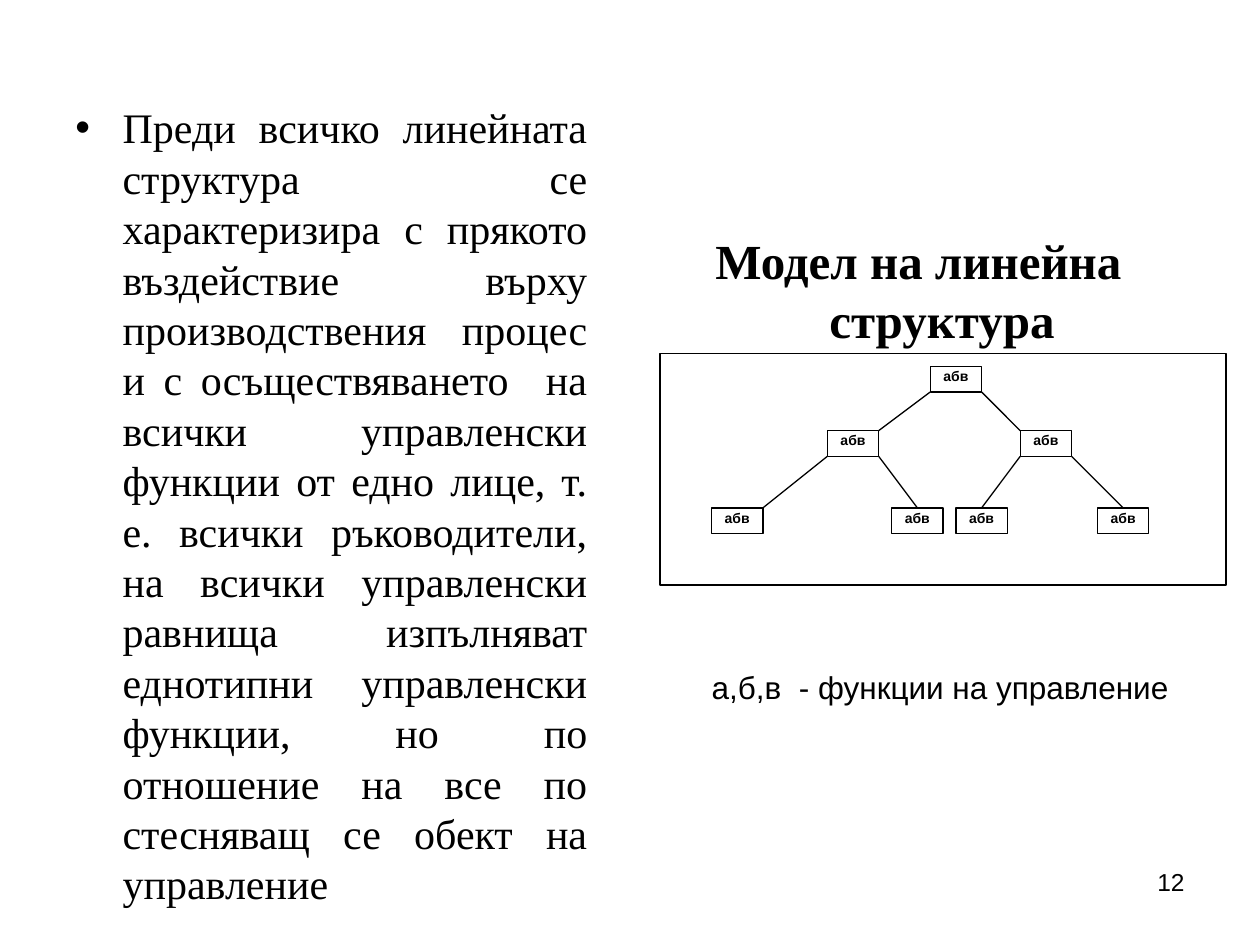
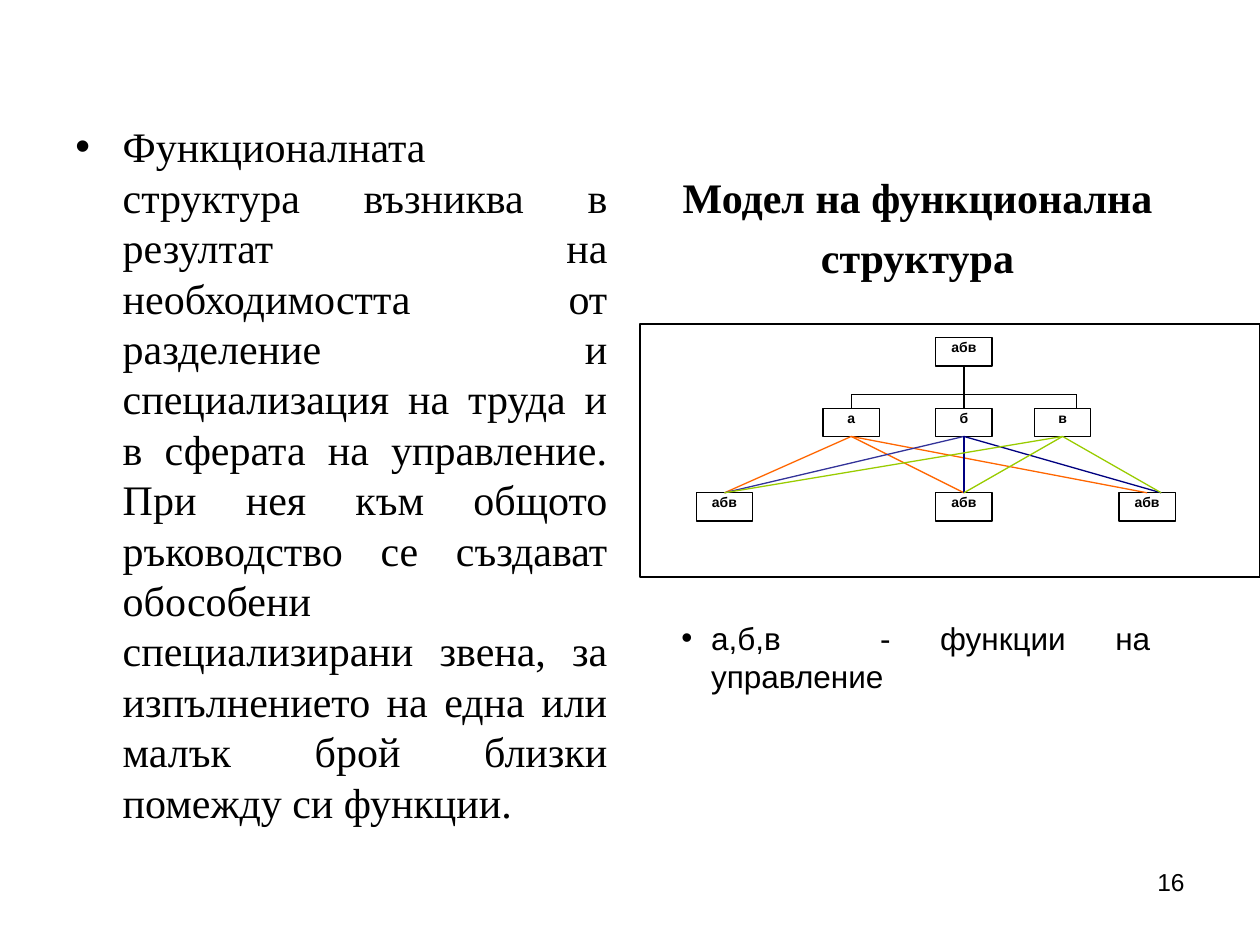
from lxml import etree
from pptx import Presentation
from pptx.dml.color import RGBColor
from pptx.enum.shapes import MSO_CONNECTOR, MSO_SHAPE
from pptx.enum.text import MSO_ANCHOR, PP_ALIGN
from pptx.oxml.ns import qn
from pptx.util import Pt

LEFT, CENTER, RIGHT, JUSTIFY = PP_ALIGN.LEFT, PP_ALIGN.CENTER, PP_ALIGN.RIGHT, PP_ALIGN.JUSTIFY
TOP, MIDDLE = MSO_ANCHOR.TOP, MSO_ANCHOR.MIDDLE
STRAIGHT, RECTANGLE = MSO_CONNECTOR.STRAIGHT, MSO_SHAPE.RECTANGLE

SERIF, SANS = "Times New Roman", "Arial"
COLORS = {"ink": "000000", "paper": "FFFFFF", "orange": "FF6600",
          "indigo": "333399", "navy": "000080", "lime": "99CC00"}
CAPTION = "а,б,в  - функции на управление"
HANGING = 27
NUMBER_AREA = (516, 492, 168, 37)

# Diagrams sit on a grid of 44 x 18 units; every node takes 4 x 2 units.
GRID_COLUMNS, GRID_ROWS = 44, 18
NODE_COLUMNS, NODE_ROWS = 4, 2

SLIDES = [
    {
        "number": "12",
        "body": "Преди всичко линейната структура се характеризира с прякото "
                "въздействие върху производствения процес и с осъществяването  на "
                "всички управленски функции от едно лице, т. е. всички ръководители, "
                "на всички управленски равнища изпълняват еднотипни управленски "
                "функции, но по отношение на все по стесняващ се обект на управление",
        "body_area": (36, 54.7, 306.7, 459),
        "heading": ["Модел на линейна структура"],
        "heading_size": 28,
        "heading_area": (365.8, 128.2, 318, 356),
        "origin": (377.2, 202),
        "unit": 7.35,
        "nodes": [("абв", 21, 1), ("абв", 13, 6), ("абв", 28, 6), ("абв", 4, 12),
                  ("абв", 18, 12), ("абв", 23, 12), ("абв", 34, 12)],
        "links": [("ink", (21, 3), (17, 6)), ("ink", (25, 3), (28, 6)),
                  ("ink", (13, 8), (8, 12)), ("ink", (17, 8), (20, 12)),
                  ("ink", (28, 8), (25, 12)), ("ink", (32, 8), (36, 12))],
        "caption_area": (399.6, 378, 287.3, 29),
        "caption_style": {"align": LEFT},
    },
    {
        "number": "16",
        "body": "Функционалната структура възниква в резултат на необходимостта от "
                "разделение и специализация на труда и в сферата на управление. При "
                "нея към общото ръководство се създават обособени специализирани "
                "звена, за изпълнението на една или малък брой близки помежду си "
                "функции.",
        "body_area": (36, 65.5, 318.2, 416),
        "heading": ["Модел на функционална", "структура"],
        "heading_size": 24,
        "heading_area": (365.8, 94.3, 317, 388),
        "origin": (365.7, 185),
        "unit": 8.05,
        "nodes": [("абв", 21, 1), ("а", 13, 6), ("б", 21, 6), ("в", 28, 6),
                  ("абв", 4, 12), ("абв", 21, 12), ("абв", 34, 12)],
        "links": [("ink", (23, 3), (23, 6)), ("ink", (15, 5), (31, 5)),
                  ("ink", (15, 5), (15, 6)), ("ink", (31, 5), (31, 6)),
                  ("orange", (15, 8), (6, 12)), ("orange", (15, 8), (23, 12)),
                  ("orange", (15, 8), (36, 12)), ("indigo", (23, 8), (6, 12)),
                  ("navy", (23, 8), (23, 12)), ("navy", (23, 8), (37, 12)),
                  ("lime", (30, 8), (6, 12)), ("lime", (30, 8), (23, 12)),
                  ("lime", (30, 8), (37, 12))],
        "caption_area": (382.3, 360.7, 282.2, 29),
        "caption_style": {"align": JUSTIFY, "hanging": 17, "bullet": True},
    },
]


def color(name):
    return RGBColor.from_string(COLORS[name])


def write(box, lines, size, font, align, bold=False, hanging=0, bullet=False,
          before=0, anchor=TOP):
    frame = box.text_frame
    frame.word_wrap = True
    frame.vertical_anchor = anchor
    for index, line in enumerate(lines):
        para = frame.add_paragraph() if index else frame.paragraphs[0]
        para.alignment = align
        para.space_before = Pt(before)
        properties = para._p.get_or_add_pPr()
        if hanging:
            properties.set("marL", str(Pt(hanging)))
            properties.set("indent", str(-Pt(hanging)))
        if bullet:
            etree.SubElement(properties, qn("a:buFont")).set("typeface", SANS)
            etree.SubElement(properties, qn("a:buChar")).set("char", "•")
        span = para.add_run()
        span.text = line
        span.font.size, span.font.name, span.font.bold = Pt(size), font, bold
        span.font.color.rgb = color("ink")


def add_text(page, area, lines, size, font, align, **style):
    box = page.shapes.add_textbox(*map(Pt, area))
    write(box, lines, size, font, align, **style)


def add_box(page, area, line_width, fill=None):
    box = page.shapes.add_shape(RECTANGLE, *map(Pt, area))
    box.shadow.inherit = False
    if fill:
        box.fill.solid()
        box.fill.fore_color.rgb = color(fill)
    else:
        box.fill.background()
    box.line.color.rgb = color("ink")
    box.line.width = Pt(line_width)
    return box


def add_diagram(page, origin, unit, nodes, links):
    def place(column, row):
        return origin[0] + column * unit, origin[1] + row * unit

    add_box(page, (*origin, GRID_COLUMNS * unit, GRID_ROWS * unit), 1)
    for label, column, row in nodes:
        area = (*place(column, row), NODE_COLUMNS * unit, NODE_ROWS * unit)
        node = add_box(page, area, 0.75, "paper")
        frame = node.text_frame
        frame.margin_left = frame.margin_right = Pt(0.72)
        frame.margin_top = frame.margin_bottom = Pt(0.72)
        write(node, [label], 8, SANS, CENTER, bold=True)
    for name, start, end in links:
        points = map(Pt, place(*start) + place(*end))
        link = page.shapes.add_connector(STRAIGHT, *points)
        link.line.color.rgb = color(name)
        link.line.width = Pt(0.75)
        etree.SubElement(link._element.spPr, qn("a:effectLst"))


def build_slide(deck, content):
    page = deck.slides.add_slide(deck.slide_layouts[6])
    add_text(page, NUMBER_AREA, [content["number"]], 14, SANS, RIGHT)
    add_text(page, content["body_area"], [content["body"]], 24, SERIF, JUSTIFY,
             hanging=HANGING, bullet=True, before=5.5)
    size = content["heading_size"]
    add_text(page, content["heading_area"], content["heading"], size, SERIF, CENTER,
             bold=True, hanging=HANGING, before=round(size * 0.23, 1))
    add_diagram(page, content["origin"], content["unit"], content["nodes"],
                content["links"])
    add_text(page, content["caption_area"], [CAPTION], 18, SANS, anchor=MIDDLE,
             **content["caption_style"])


def main():
    deck = Presentation()
    deck.slide_width, deck.slide_height = Pt(720), Pt(540)
    for content in SLIDES:
        build_slide(deck, content)
    deck.save("out.pptx")


if __name__ == "__main__":
    main()
